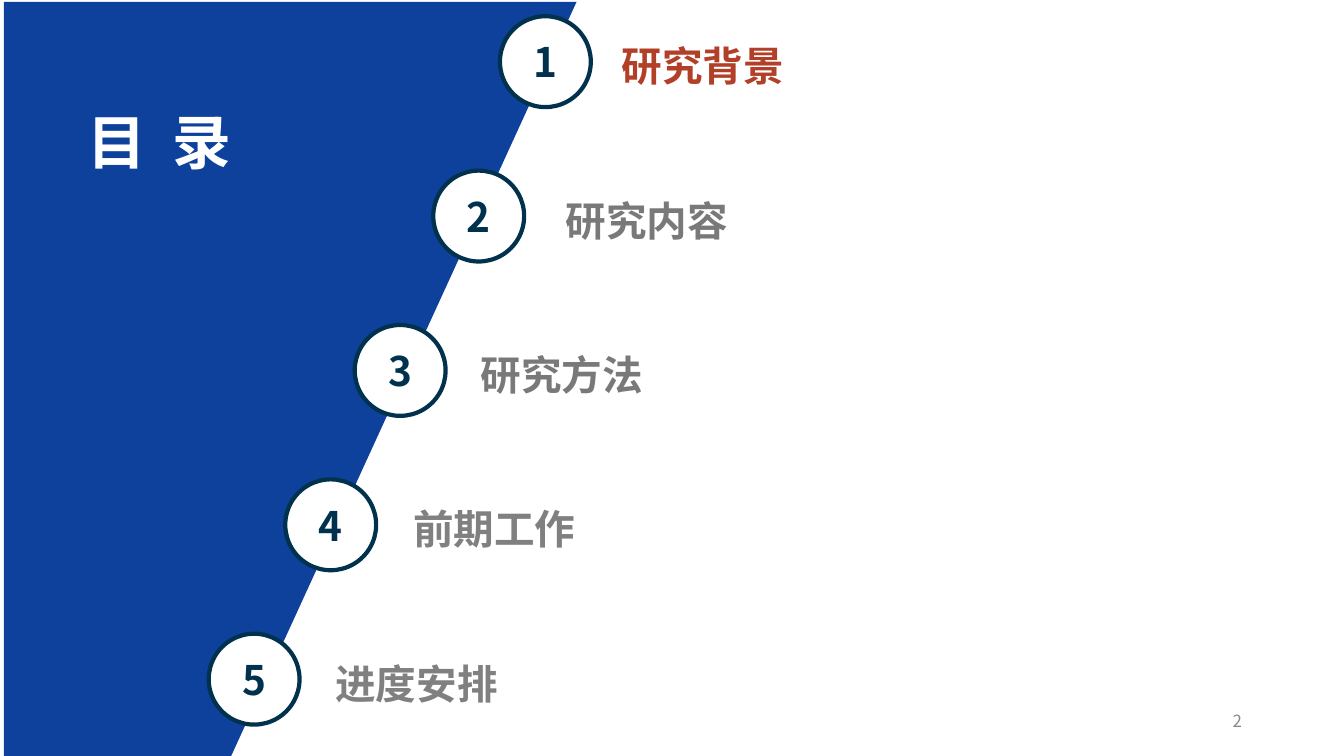
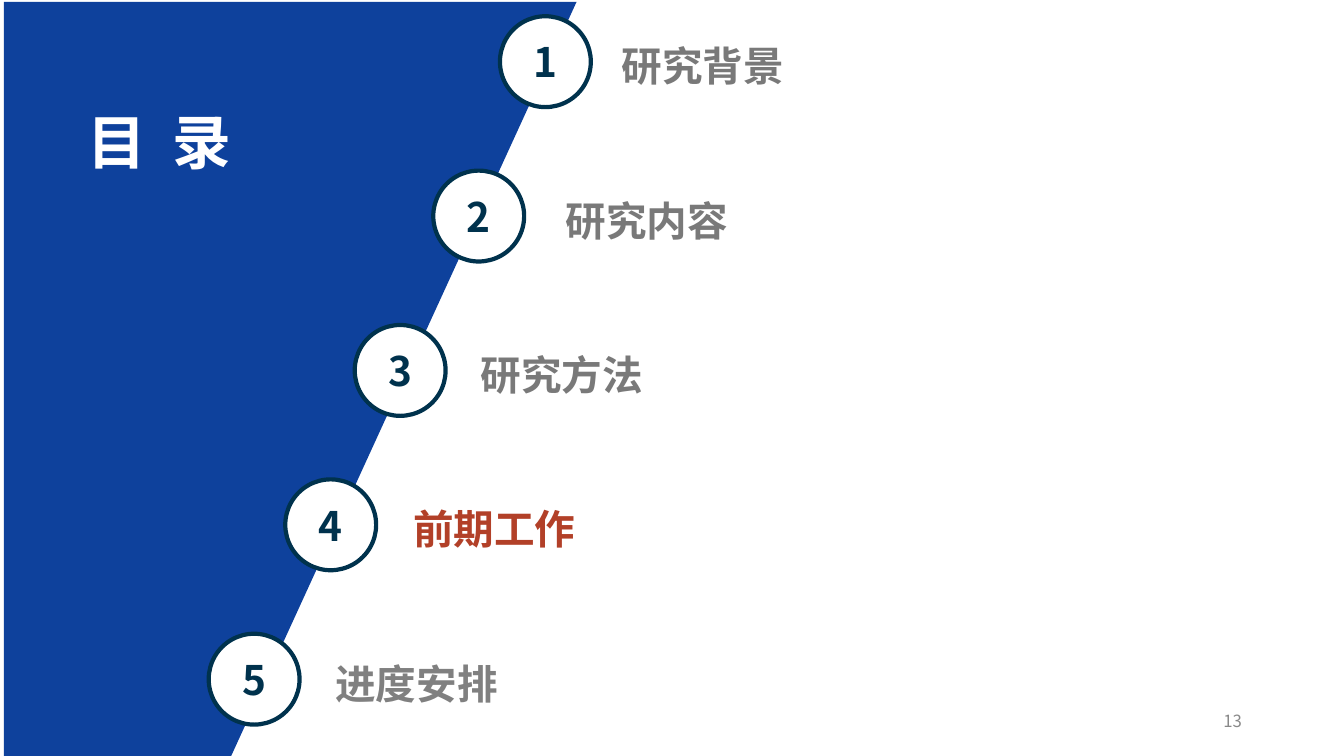
from dataclasses import dataclass

from lxml import etree
from pptx import Presentation
from pptx import util as u
from pptx.dml.color import RGBColor
from pptx.enum import shapes, text
from pptx.oxml.ns import qn

FONT = "Noto Sans CJK SC"
PANEL_BLUE = "0E419C"
NAVY = "00324D"
WHITE = "FFFFFF"
HIGHLIGHT = "B24028"
GRAY = "797979"
LIGHT_GRAY = "808080"
PAGE_GRAY = "898989"

DIAMETER = u.Cm(2.29)
FIRST_TOP = u.Cm(0.41)
PITCH = u.Cm(3.89)
LINE_HEIGHT = u.Pt(42)
LIST_LEFT = 8.2


@dataclass(frozen=True)
class Chapter:
    label: str
    circle_left: float
    label_left: float
    color: str


@dataclass(frozen=True)
class Agenda:
    current: int
    page: str


CHAPTERS = [
    Chapter("研究背景", 12.6, 15.42, GRAY),
    Chapter("研究内容", 10.92, 14.0, GRAY),
    Chapter("研究方法", 8.94, 11.86, GRAY),
    Chapter("前期工作", 7.19, 10.16, LIGHT_GRAY),
    Chapter("进度安排", 5.26, LIST_LEFT, LIGHT_GRAY),
]
AGENDAS = [Agenda(1, "2"), Agenda(4, "13")]


def rgb(value: str) -> RGBColor:
    return RGBColor.from_string(value)


def style(paragraph, size: float, color: str, bold: bool = True,
          align=text.PP_ALIGN.LEFT, tracking: int = 0) -> None:
    paragraph.alignment = align
    font = paragraph.font
    font.size = u.Pt(size)
    font.bold = bold
    font.color.rgb = rgb(color)
    font.name = FONT
    properties = paragraph._p.pPr.find(qn("a:defRPr"))
    etree.SubElement(properties, qn("a:ea"), typeface=FONT)
    if tracking:
        properties.set("spc", str(tracking))


def place(shape, left: float, top: float, width: float, height: float) -> None:
    shape.left, shape.top = u.Cm(left), u.Cm(top)
    shape.width, shape.height = u.Cm(width), u.Cm(height)


def prepare_frame(shape, anchor=text.MSO_ANCHOR.MIDDLE, side: float = 0.25):
    frame = shape.text_frame
    frame.word_wrap = True
    frame.auto_size = text.MSO_AUTO_SIZE.NONE
    frame.vertical_anchor = anchor
    frame.margin_left = frame.margin_right = u.Cm(side)
    frame.margin_top = frame.margin_bottom = 0
    return frame


def add_panel(slide) -> None:
    builder = slide.shapes.build_freeform(u.Cm(0.1), u.Cm(0.05))
    corners = [(14.53, 0.05), (5.79, 19.13), (0.1, 19.13)]
    builder.add_line_segments([(u.Cm(x), u.Cm(y)) for x, y in corners])
    panel = builder.convert_to_shape()
    panel.shadow.inherit = False
    panel.fill.solid()
    panel.fill.fore_color.rgb = rgb(PANEL_BLUE)
    panel.line.fill.background()
    slide.shapes.title.element.addprevious(panel.element)


def fill_title(slide) -> None:
    title = slide.shapes.title
    place(title, 1.96, 2.51, 4.95, 2.08)
    frame = prepare_frame(title)
    frame.text = "目 录"
    style(frame.paragraphs[0], 42, WHITE, tracking=470)


def fill_list(slide, current: int) -> None:
    body = slide.placeholders[1]
    place(body, LIST_LEFT, 0.78, 19.7, 17.1)
    frame = prepare_frame(body, text.MSO_ANCHOR.TOP)
    frame.text = "\n".join(chapter.label for chapter in CHAPTERS)
    for number, (chapter, paragraph) in enumerate(zip(CHAPTERS, frame.paragraphs), 1):
        paragraph.line_spacing = LINE_HEIGHT
        paragraph.space_before = u.Pt(0)
        paragraph.space_after = u.Emu(PITCH - LINE_HEIGHT if number < len(CHAPTERS) else 0)
        properties = paragraph._p.get_or_add_pPr()
        properties.set("marL", str(u.Cm(chapter.label_left - LIST_LEFT)))
        properties.set("indent", "0")
        etree.SubElement(properties, qn("a:buNone"))
        style(paragraph, 29, HIGHLIGHT if number == current else chapter.color)


def add_circle(slide, number: int, chapter: Chapter) -> None:
    top = FIRST_TOP + (number - 1) * PITCH
    circle = slide.shapes.add_shape(
        shapes.MSO_SHAPE.OVAL, u.Cm(chapter.circle_left), top, DIAMETER, DIAMETER)
    circle.shadow.inherit = False
    circle.fill.solid()
    circle.fill.fore_color.rgb = rgb(WHITE)
    circle.line.color.rgb = rgb(NAVY)
    circle.line.width = u.Pt(3)
    frame = prepare_frame(circle, side=0)
    frame.text = str(number)
    style(frame.paragraphs[0], 29, NAVY, align=text.PP_ALIGN.CENTER)


def add_page_number(slide, page: str) -> None:
    box = slide.shapes.add_textbox(u.Cm(23.93), u.Cm(17.65), u.Cm(7.62), u.Cm(1.02))
    frame = prepare_frame(box)
    frame.text = page
    style(frame.paragraphs[0], 12, PAGE_GRAY, bold=False, align=text.PP_ALIGN.RIGHT)


def add_agenda(presentation, agenda: Agenda) -> None:
    slide = presentation.slides.add_slide(presentation.slide_layouts[1])
    add_panel(slide)
    fill_title(slide)
    fill_list(slide, agenda.current)
    for number, chapter in enumerate(CHAPTERS, 1):
        add_circle(slide, number, chapter)
    add_page_number(slide, agenda.page)


def main() -> None:
    presentation = Presentation()
    presentation.slide_width = u.Cm(33.87)
    presentation.slide_height = u.Cm(19.05)
    for agenda in AGENDAS:
        add_agenda(presentation, agenda)
    presentation.save("out.pptx")


if __name__ == "__main__":
    main()
